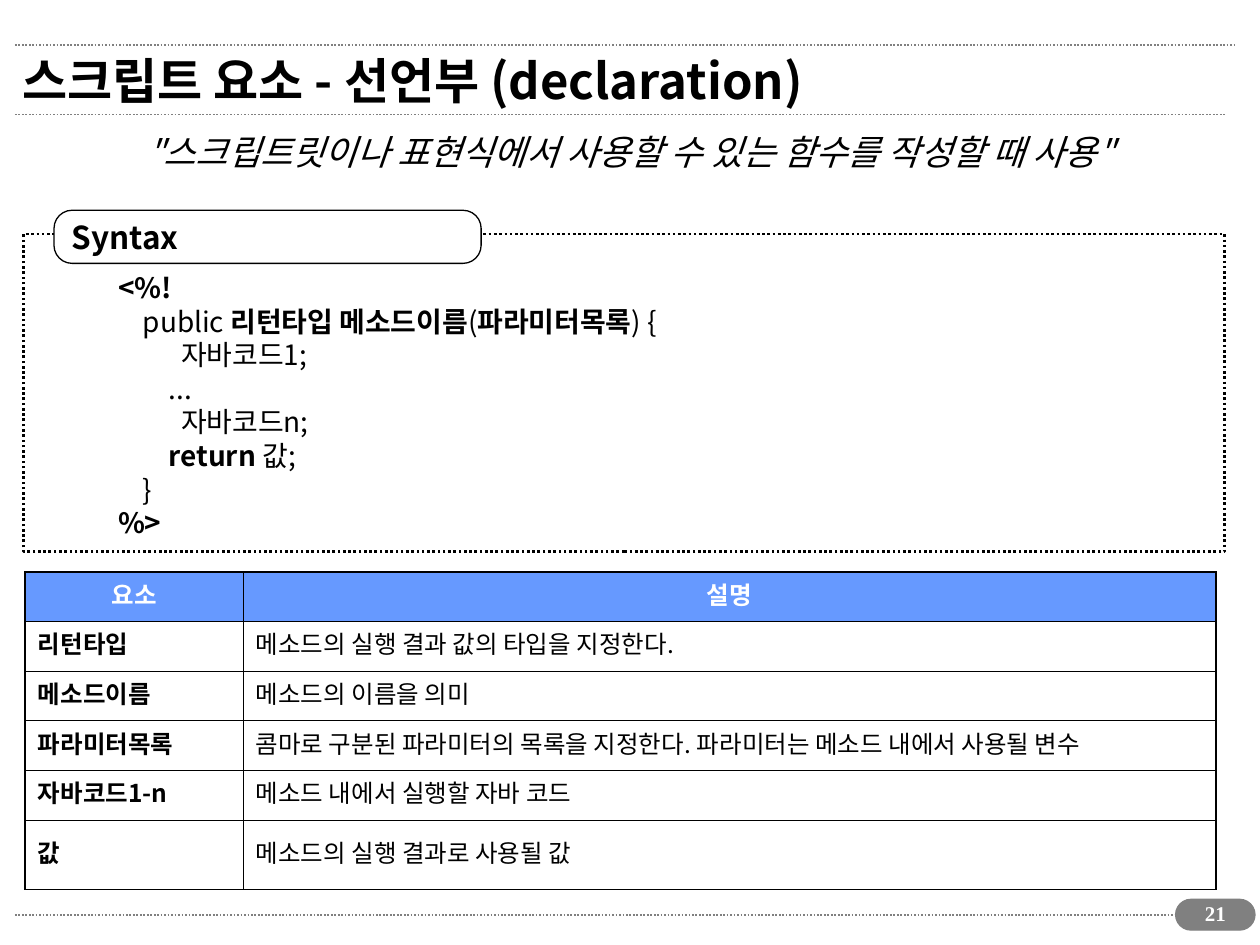
import pptx
import pptx.dml.color
import pptx.enum.dml
import pptx.enum.shapes
import pptx.enum.text
import pptx.oxml
import pptx.oxml.ns
import pptx.util
from pptx.util import Cm

BLACK = pptx.dml.color.RGBColor(0x00, 0x00, 0x00)
WHITE = pptx.dml.color.RGBColor(0xFF, 0xFF, 0xFF)
GRAY = pptx.dml.color.RGBColor(0x80, 0x80, 0x80)
BLUE = pptx.dml.color.RGBColor(0x66, 0x99, 0xFF)

KOREAN_FONT = "Noto Sans CJK KR"
NUMBER_FONT = "Times New Roman"
LEFT = pptx.enum.text.PP_ALIGN.LEFT
CENTER = pptx.enum.text.PP_ALIGN.CENTER
MIDDLE = pptx.enum.text.MSO_ANCHOR.MIDDLE
DOTTED = pptx.enum.dml.MSO_LINE.ROUND_DOT
SHAPES = pptx.enum.shapes.MSO_SHAPE
THIN, THICK = 0.45, 1.08

CODE_LINES = [
    (0, [("<%!", True)]),
    (0.5, [("public ", False), ("리턴타입 메소드이름", True), ("(", False),
           ("파라미터목록", True), (") {", False)]),
    (1.27, [("자바코드1;", False)]),
    (1.02, [("...", False)]),
    (1.27, [("자바코드n;", False)]),
    (1.02, [("return ", True), ("값;", False)]),
    (0.5, [("}", False)]),
    (0, [("%>", True)]),
]

ELEMENT_ROWS = [
    ("요소", "설명"),
    ("리턴타입", "메소드의 실행 결과 값의 타입을 지정한다."),
    ("메소드이름", "메소드의 이름을 의미"),
    ("파라미터목록", "콤마로 구분된 파라미터의 목록을 지정한다. 파라미터는 메소드 내에서 사용될 변수"),
    ("자바코드1-n", "메소드 내에서 실행할 자바 코드"),
    ("값", "메소드의 실행 결과로 사용될 값"),
]


def style_paragraph(paragraph, size, color=BLACK, bold=None, italic=None,
                    align=LEFT, name=KOREAN_FONT):
    paragraph.alignment = align
    paragraph.line_spacing = pptx.util.Pt(round(size * 1.2, 1))
    font = paragraph.font
    font.size = pptx.util.Pt(size)
    font.bold = bold
    font.italic = italic
    font.color.rgb = color
    font.name = name
    properties = paragraph._p.pPr.find(pptx.oxml.ns.qn("a:defRPr"))
    east_asian = properties.makeelement(pptx.oxml.ns.qn("a:ea"), {"typeface": name})
    properties.append(east_asian)


def add_text(slide, box, text, size, **style):
    shape = slide.shapes.add_textbox(*box)
    shape.text_frame.word_wrap = True
    shape.text_frame.text = text
    style_paragraph(shape.text_frame.paragraphs[0], size, **style)


def add_box(slide, kind, box, fill, line, width):
    shape = slide.shapes.add_shape(kind, *box)
    shape.shadow.inherit = False
    if fill is None:
        shape.fill.background()
    else:
        shape.fill.solid()
        shape.fill.fore_color.rgb = fill
    shape.line.color.rgb = line
    shape.line.width = pptx.util.Pt(width)
    return shape


def add_rule(slide, left, right, top):
    rule = slide.shapes.add_connector(
        pptx.enum.shapes.MSO_CONNECTOR.STRAIGHT, left, top, right, top)
    rule.line.color.rgb = GRAY
    rule.line.width = pptx.util.Pt(1)
    rule.line.dash_style = DOTTED
    properties = rule._element.spPr
    properties.append(properties.makeelement(pptx.oxml.ns.qn("a:effectLst"), {}))


def add_heading(slide, left, top, width, height):
    add_rule(slide, left + Cm(0.1), Cm(24.89), top + Cm(0.2))
    add_rule(slide, left + Cm(0.1), Cm(24.69), top + Cm(1.6))
    title = slide.shapes.title
    title.left, title.top, title.width, title.height = left, top, width, height
    frame = title.text_frame
    frame.text = "스크립트 요소 - 선언부 (declaration)"
    frame.auto_size = pptx.enum.text.MSO_AUTO_SIZE.NONE
    frame.vertical_anchor = MIDDLE
    style_paragraph(frame.paragraphs[0], 28, bold=True)


def add_syntax_panel(slide, left, top, width, height):
    frame_top = top + Cm(0.48)
    frame = add_box(slide, SHAPES.RECTANGLE,
                    (left, frame_top, width, height - Cm(0.48)), None, BLACK, 1.5)
    frame.line.dash_style = DOTTED

    tag = add_box(slide, SHAPES.ROUNDED_RECTANGLE,
                  (left + Cm(0.61), top, Cm(8.61), Cm(1.07)), WHITE, BLACK, 0.75)
    tag.adjustments[0] = 0.34
    tag.text_frame.text = "Syntax"
    tag.text_frame.vertical_anchor = MIDDLE
    style_paragraph(tag.text_frame.paragraphs[0], 18, bold=True)

    code = slide.shapes.add_textbox(left + Cm(1.65), top + Cm(1.09), Cm(12.5), Cm(5.69))
    code.text_frame.word_wrap = True
    for index, (indent, runs) in enumerate(CODE_LINES):
        paragraph = (code.text_frame.add_paragraph() if index
                     else code.text_frame.paragraphs[0])
        style_paragraph(paragraph, 16)
        paragraph._p.pPr.set("marL", str(Cm(indent)))
        for text, bold in runs:
            run = paragraph.add_run()
            run.text = text
            run.font.bold = bold


def set_borders(cell, widths):
    properties = cell._tc.get_or_add_tcPr()
    for index, (side, width) in enumerate(zip("LRTB", widths)):
        properties.insert(index, pptx.oxml.parse_xml(
            f'<a:ln{side} {pptx.oxml.ns.nsdecls("a")} w="{pptx.util.Pt(width)}">'
            f'<a:solidFill><a:srgbClr val="{BLACK}"/></a:solidFill></a:ln{side}>'))


def add_element_table(slide, left, top, width, height):
    last_row = len(ELEMENT_ROWS) - 1
    row_height = Cm(1)
    table = slide.shapes.add_table(last_row + 1, 2, left, top, width, height).table
    table.columns[0].width = Cm(4.39)
    table.columns[1].width = width - Cm(4.39)
    for row, texts in enumerate(ELEMENT_ROWS):
        table.rows[row].height = row_height if row < last_row else height - last_row * row_height
        header = row == 0
        for column, text in enumerate(texts):
            cell = table.cell(row, column)
            cell.text = text
            cell.vertical_anchor = MIDDLE
            cell.fill.solid()
            cell.fill.fore_color.rgb = BLUE if header else WHITE
            paragraph = cell.text_frame.paragraphs[0]
            style_paragraph(paragraph, 14, color=WHITE if header else BLACK,
                            bold=header or column == 0,
                            align=CENTER if header else LEFT)
            paragraph.space_before = pptx.util.Pt(3.5)
            outer_edges = (column == 0, column == 1, header, row == last_row)
            set_borders(cell, [THICK if outer else THIN for outer in outer_edges])


def add_footer(slide, left, top, width, height):
    add_rule(slide, left, left + width - Cm(0.59), top + height / 2)
    badge_left = left + width - Cm(1.6)
    badge = add_box(slide, SHAPES.ROUNDED_RECTANGLE,
                    (badge_left, top, Cm(1.6), height), GRAY, GRAY, 0.75)
    badge.adjustments[0] = 0.5
    add_text(slide, (badge_left + Cm(0.1), top - Cm(0.1), Cm(1.4), Cm(0.86)), "21", 12,
             color=WHITE, bold=True, align=CENTER, name=NUMBER_FONT)


def main():
    presentation = pptx.Presentation()
    presentation.slide_width = Cm(25.4)
    presentation.slide_height = Cm(19.05)
    slide = presentation.slides.add_slide(presentation.slide_layouts[5])
    add_heading(slide, Cm(0.2), Cm(0.71), Cm(23.11), Cm(1.8))
    add_text(slide, (Cm(0.51), Cm(2.51), Cm(24.41), Cm(1.12)),
             '"스크립트릿이나 표현식에서 사용할 수 있는 함수를 작성할 때 사용"', 20,
             italic=True, align=CENTER)
    add_syntax_panel(slide, Cm(0.48), Cm(4.24), Cm(24.21), Cm(6.88))
    add_element_table(slide, Cm(0.51), Cm(11.53), Cm(24), Cm(6.4))
    add_footer(slide, Cm(0.3), Cm(18.13), Cm(25), Cm(0.62))
    presentation.save("out.pptx")


if __name__ == "__main__":
    main()
